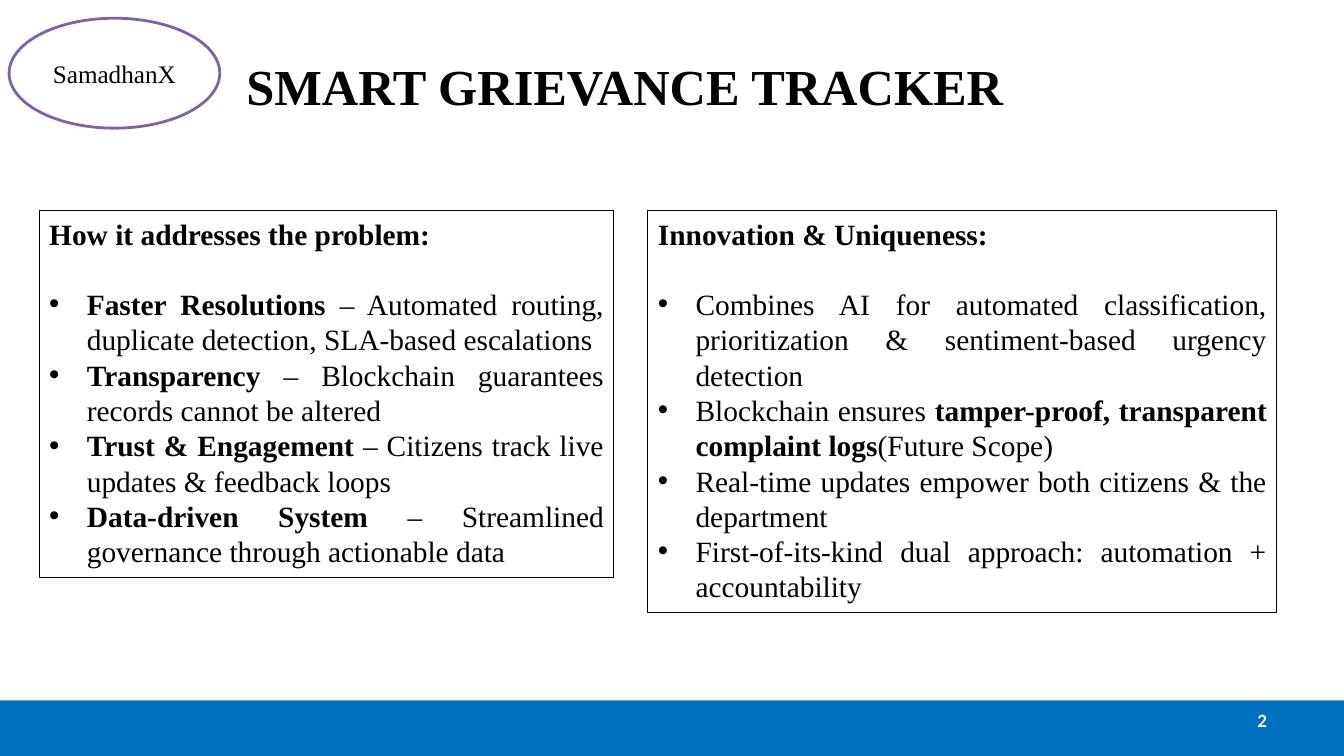
from lxml import etree
from pptx import Presentation
from pptx.dml.color import RGBColor
from pptx.enum import shapes, text
from pptx.oxml.ns import qn
from pptx.util import Cm, Pt

SERIF, SANS = "Times New Roman", "Lato"
BLUE, PURPLE, BLACK, WHITE = "0070C0", "8064A2", "000000", "FFFFFF"
SIZE, LEAD = 21, 25.2
INDENT = Cm(0.95)

TITLE = "SMART GRIEVANCE TRACKER"
TEAM = "SamadhanX"
NUMBER = "2"

# Each panel: left, width, height (cm), heading, bullets as (text, bold) runs
PANELS = [
    (0.99, 14.48, 9.25, "How it addresses the problem:", [
        [("Faster Resolutions", True),
         (" – Automated routing, duplicate detection, SLA-based escalations", False)],
        [("Transparency", True),
         (" – Blockchain guarantees records cannot be altered", False)],
        [("Trust & Engagement", True),
         (" – Citizens track live updates & feedback loops", False)],
        [("Data-driven System", True),
         (" – Streamlined governance through actionable data", False)],
    ]),
    (16.33, 15.85, 10.13, "Innovation & Uniqueness:", [
        [("Combines AI for automated classification, prioritization "
          "& sentiment-based urgency detection", False)],
        [("Blockchain ensures ", False),
         ("tamper-proof, transparent complaint logs", True),
         ("(Future Scope)", False)],
        [("Real-time updates empower both citizens & the department", False)],
        [("First-of-its-kind dual approach: automation + accountability", False)],
    ]),
]
PANEL_TOP = 5.31

KIND = shapes.MSO_SHAPE
ALIGN = text.PP_ALIGN
ANCHOR = text.MSO_ANCHOR


def color(code):
    return RGBColor.from_string(code)


def draw(slide, kind, place, fill=None, line=None, width=0.75):
    shape = slide.shapes.add_shape(kind, *map(Cm, place))
    shape.shadow.inherit = False
    if fill:
        shape.fill.solid()
        shape.fill.fore_color.rgb = color(fill)
    else:
        shape.fill.background()
    if line:
        shape.line.color.rgb = color(line)
        shape.line.width = Pt(width)
    else:
        shape.line.fill.background()
    return shape


def write(para, runs, size, align, font=SERIF, ink=BLACK):
    para.alignment = align
    for words, bold in runs:
        run = para.add_run()
        run.text = words
        run.font.name = font
        run.font.size = Pt(size)
        run.font.bold = bold
        run.font.color.rgb = color(ink)


def label(slide, place, words, size, align, **look):
    box = slide.shapes.add_textbox(*map(Cm, place))
    frame = box.text_frame
    frame.word_wrap = True
    frame.vertical_anchor = ANCHOR.MIDDLE
    write(frame.paragraphs[0], [(words, True)], size, align, **look)


def bullet(para):
    props = para._p.get_or_add_pPr()
    props.set("marL", str(INDENT))
    props.set("indent", str(-INDENT))
    etree.SubElement(props, qn("a:buFont"), typeface="Arial")
    etree.SubElement(props, qn("a:buChar"), char="•")


def panel(slide, left, width, height, head, items):
    box = draw(slide, KIND.RECTANGLE, (left, PANEL_TOP, width, height), line=BLACK)
    frame = box.text_frame
    frame.word_wrap = True
    frame.vertical_anchor = ANCHOR.TOP
    first = frame.paragraphs[0]
    first.line_spacing = first.space_after = Pt(LEAD)
    write(first, [(head, True)], SIZE, ALIGN.JUSTIFY)
    for runs in items:
        para = frame.add_paragraph()
        para.line_spacing = Pt(LEAD)
        bullet(para)
        write(para, runs, SIZE, ALIGN.JUSTIFY)


def main():
    deck = Presentation()
    deck.slide_width, deck.slide_height = Cm(33.87), Cm(19.05)
    slide = deck.slides.add_slide(deck.slide_layouts[6])

    draw(slide, KIND.RECTANGLE, (0, 17.65, 33.87, 1.4), fill=BLUE)
    label(slide, (0.51, 0.56, 30.48, 3.18), TITLE, 36, ALIGN.CENTER)
    label(slide, (24.28, 17.65, 7.9, 1.02), NUMBER, 12, ALIGN.RIGHT,
          font=SANS, ink=WHITE)

    badge = draw(slide, KIND.OVAL, (0.23, 0.46, 5.31, 2.77), WHITE, PURPLE, 2)
    badge.text_frame.vertical_anchor = ANCHOR.MIDDLE
    write(badge.text_frame.paragraphs[0], [(TEAM, False)], 18, ALIGN.CENTER)

    for part in PANELS:
        panel(slide, *part)
    deck.save("out.pptx")


if __name__ == "__main__":
    main()
